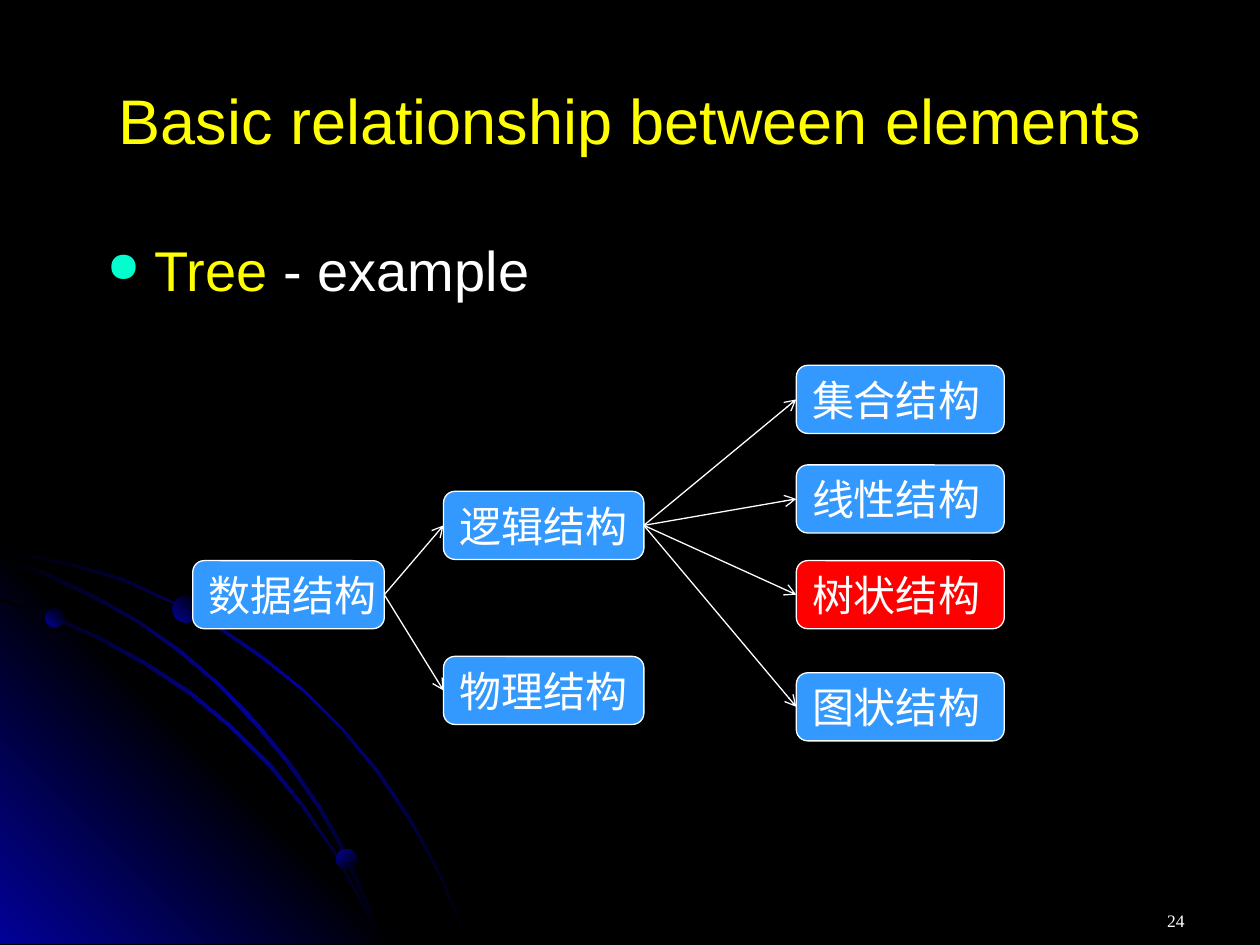
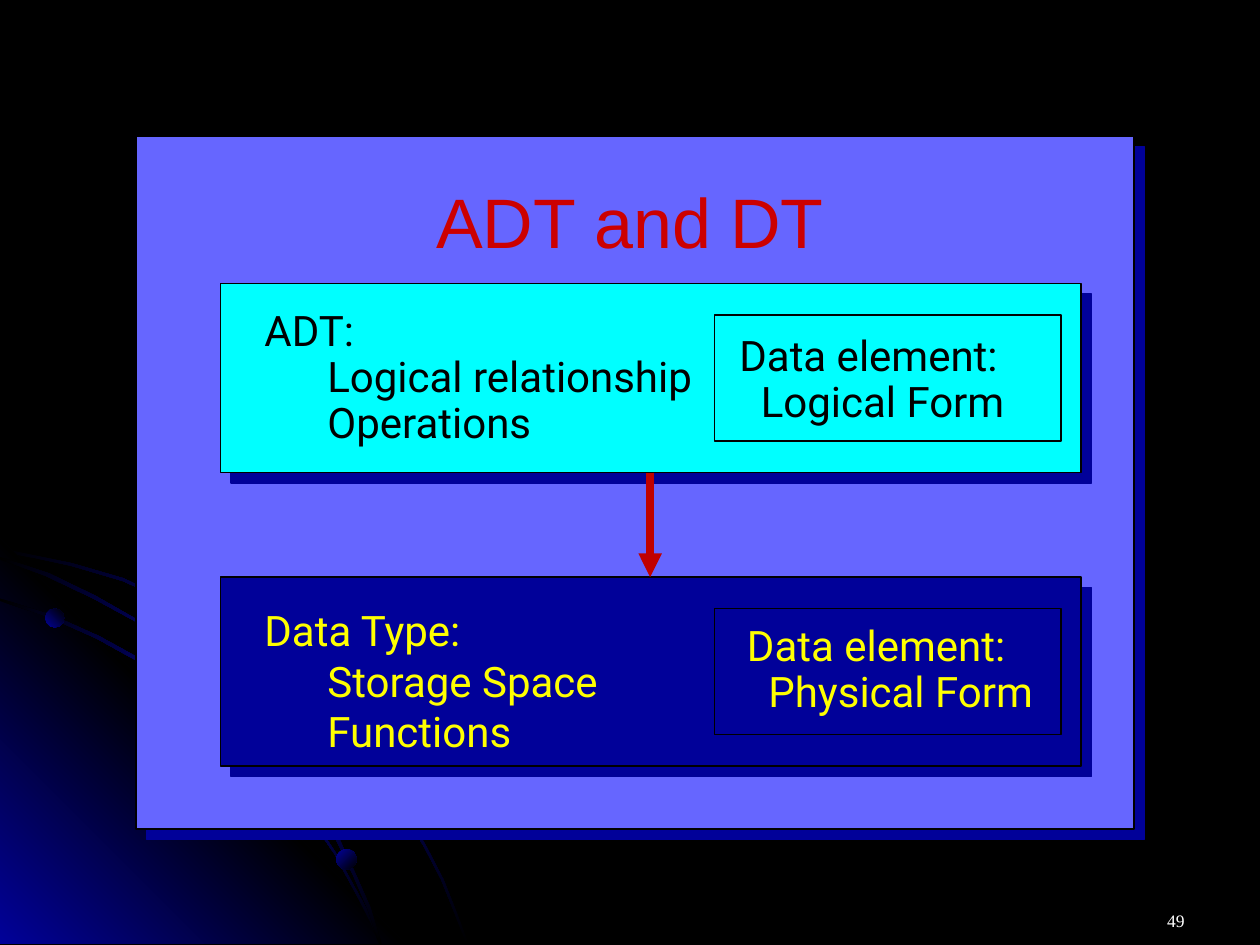
from dataclasses import dataclass
from lxml.etree import SubElement
from pptx import Presentation
from pptx.dml.color import RGBColor
from pptx.enum.shapes import MSO_CONNECTOR, MSO_SHAPE
from pptx.enum.text import MSO_ANCHOR, MSO_AUTO_SIZE, PP_ALIGN
from pptx.oxml.ns import qn
from pptx.util import Pt

PX = 9144  # EMU per px, 100 px to the inch


@dataclass(frozen=True)
class Theme:
    black: str = "000000"
    white: str = "FFFFFF"
    navy: str = "010199"
    yellow: str = "FFFF00"
    bullet: str = "00FFCC"
    node: str = "3399FF"
    highlight: str = "FF0000"
    panel: str = "6666FF"
    cyan: str = "00FFFF"
    arrow: str = "C00000"
    heading: str = "CC0000"
    sans: str = "Arial"
    label: str = "Roboto"
    serif: str = "Times New Roman"
    title_size: int = 36
    panel_title_size: int = 40
    body_size: int = 32
    text_size: int = 24
    number_size: int = 10
    hairline: float = 0.75
    thick: float = 4.5


T = Theme()

# Shared backdrop: outlines, gradient colours and angle
GLOW = (T.navy, T.black, T.navy)
STREAK = (T.black, T.navy, T.black)
ORB = (T.navy, T.black)
BACKDROP_OUTLINES = [
    (STREAK, 45, [
        (57, 447), (28, 441), (0, 435), (0, 438), (28, 443), (56, 449), (97, 461),
        (135, 478), (173, 499), (208, 523), (241, 549), (271, 579), (298, 612),
        (323, 649), (337, 673), (350, 698), (360, 723), (370, 749), (372, 749),
        (362, 723), (352, 698), (339, 673), (325, 648), (300, 611), (272, 578),
        (242, 548), (209, 521), (174, 497), (136, 477), (98, 459)]),
    (GLOW, 315, [(322, 749), (0, 749), (0, 427)]),
    (STREAK, 45, [
        (285, 714), (294, 732), (301, 749), (303, 749), (296, 730), (286, 712),
        (266, 676), (242, 640), (215, 606), (184, 576), (152, 549), (117, 526),
        (79, 505), (41, 488), (0, 475), (0, 477), (39, 490), (77, 507), (115, 528),
        (150, 551), (183, 578), (213, 608), (240, 641), (265, 677)]),
    (STREAK, 45, [
        (0, 442), (0, 444), (36, 457), (74, 475), (109, 494), (142, 518), (173, 544),
        (202, 575), (227, 605), (252, 641), (267, 667), (280, 694), (292, 722),
        (301, 749), (303, 749), (294, 720), (282, 693), (269, 665), (254, 639),
        (229, 603), (204, 573), (175, 543), (144, 516), (111, 493), (76, 473),
        (39, 455)]),
]
BACKDROP_ORBS = [(36, 483, 15, 315), (267, 674, 16, 45), (137, 473, 21, 315)]

# Tree slide
TREE_TITLE = "Basic relationship between elements"
TREE_BULLET = [("Tree ", T.yellow), ("- example", T.white)]
COLUMNS = [(153, 152), (352, 159), (632, 165)]  # left, width
NODE_HEIGHT = 54
NODES = [  # text, parent, column, top
    ("数据结构", None, 0, 445),
    ("逻辑结构", "数据结构", 1, 390),
    ("物理结构", "数据结构", 1, 521),
    ("集合结构", "逻辑结构", 2, 290),
    ("线性结构", "逻辑结构", 2, 369),
    ("树状结构", "逻辑结构", 2, 445),
    ("图状结构", "逻辑结构", 2, 534),
]
HIGHLIGHTED = "树状结构"

# Type slide
PANEL_TITLE = "ADT and DT"
PANEL = (108, 108, 792, 550)
CARD_LEFT, CARD_WIDTH, CARD_HEIGHT = 175, 683, 150
FRAME_LEFT, FRAME_WIDTH, FRAME_HEIGHT, FRAME_DROP = 567, 275, 100, 25
CARDS = [
    dict(top=225, fill=T.cyan, color=T.black,
         lines=["ADT:", "Logical relationship", "Operations"],
         lines_box=(200, 254, 381, 111), tight=True,
         element=["Data element:", "Logical Form"], element_box=(577, 274, 274, 71)),
    dict(top=458, fill=T.navy, color=T.yellow,
         lines=["Data Type:", "Storage Space", "Functions"],
         lines_box=(200, 475, 291, 130), tight=False,
         element=["Data element:", "Physical Form"], element_box=(583, 504, 275, 71)),
]
LINE_INDENT, ELEMENT_INDENT = 50, 17


def px(*lengths):
    return [round(length * PX) for length in lengths]


def rgb(color):
    return RGBColor.from_string(color)


def style(paragraph, size, color=None, face=T.sans):
    paragraph.font.size = Pt(size)
    paragraph.font.name = face
    if color:
        paragraph.font.color.rgb = rgb(color)


def add_gradient(shape, colors, angle):
    shape.shadow.inherit = False
    shape.line.fill.background()
    shape.fill.gradient()
    shape.fill.gradient_angle = 360 - angle
    stops = shape._element.spPr.find(".//" + qn("a:gsLst"))
    stops.clear()
    for i, color in enumerate(colors):
        stop = SubElement(stops, qn("a:gs"), pos=str(100000 * i // (len(colors) - 1)))
        SubElement(stop, qn("a:srgbClr"), val=color)


def add_box(slide, kind, box, fill, line, shadow=False):
    shape = slide.shapes.add_shape(kind, *px(*box))
    shape.shadow.inherit = False
    if fill:
        shape.fill.solid()
        shape.fill.fore_color.rgb = rgb(fill)
    else:
        shape.fill.background()
    shape.line.color.rgb = rgb(line)
    shape.line.width = Pt(T.hairline)
    if shadow:
        effects = shape._element.spPr.find(qn("a:effectLst"))
        outer = SubElement(effects, qn("a:outerShdw"), dist=str(Pt(8.5)),
                           dir="2700000", algn="ctr", rotWithShape="0")
        SubElement(outer, qn("a:srgbClr"), val=T.navy)
    return shape


def add_text(slide, box):
    frame = slide.shapes.add_textbox(*px(*box)).text_frame
    frame.word_wrap = True
    return frame


def add_lines(slide, box, lines, color, indent, tight):
    frame = add_text(slide, box)
    for i, line in enumerate(lines):
        paragraph = frame.paragraphs[0] if i == 0 else frame.add_paragraph()
        paragraph.text = line
        if tight:
            paragraph.line_spacing = 0.5
        if i:
            paragraph._p.get_or_add_pPr().set("marL", str(indent * PX))
            if tight:
                paragraph.space_before = Pt(T.text_size / 2)
        style(paragraph, T.text_size, color, T.label)


def add_arrow(slide, start, end, color, width, head):
    arrow = slide.shapes.add_connector(MSO_CONNECTOR.STRAIGHT, *px(*start, *end))
    arrow.line.color.rgb = rgb(color)
    arrow.line.width = Pt(width)
    SubElement(arrow.line._get_or_add_ln(), qn("a:tailEnd"), type=head)
    SubElement(arrow._element.spPr, qn("a:effectLst"))
    return arrow


def set_title(slide, text, box, size, color):
    title = slide.shapes.title
    title.left, title.top, title.width, title.height = px(*box)
    slide.shapes._spTree.append(title._element)  # in front of what is drawn so far
    frame = title.text_frame
    frame.text = text
    frame.word_wrap = True
    frame.auto_size = MSO_AUTO_SIZE.NONE
    frame.vertical_anchor = MSO_ANCHOR.MIDDLE
    frame.paragraphs[0].alignment = PP_ALIGN.CENTER
    style(frame.paragraphs[0], size, color)


def add_slide(prs, number):
    slide = prs.slides.add_slide(prs.slide_layouts[5])
    slide.background.fill.solid()
    slide.background.fill.fore_color.rgb = rgb(T.black)
    # Backdrop
    for colors, angle, points in BACKDROP_OUTLINES:
        builder = slide.shapes.build_freeform(*points[0], scale=PX)
        builder.add_line_segments(points[1:], close=True)
        add_gradient(builder.convert_to_shape(), colors, angle)
    for left, top, size, angle in BACKDROP_ORBS:
        orb = slide.shapes.add_shape(MSO_SHAPE.OVAL, *px(left, top, size, size))
        add_gradient(orb, ORB, angle)
    # Slide number
    frame = add_text(slide, (717, 711, 233, 40))
    frame.vertical_anchor = MSO_ANCHOR.MIDDLE
    frame.text = str(number)
    frame.paragraphs[0].alignment = PP_ALIGN.RIGHT
    style(frame.paragraphs[0], T.number_size, T.white, T.serif)
    return slide


def build_tree_slide(prs):
    slide = add_slide(prs, 24)
    set_title(slide, TREE_TITLE, (50, 32, 900, 125), T.title_size, T.yellow)
    # Bullet line
    paragraph = add_text(slide, (75, 182, 850, 60)).paragraphs[0]
    properties = paragraph._p.get_or_add_pPr()
    properties.set("marL", str(38 * PX))
    properties.set("indent", str(-38 * PX))
    SubElement(SubElement(properties, qn("a:buClr")), qn("a:srgbClr"), val=T.bullet)
    SubElement(properties, qn("a:buSzPct"), val="75000")
    SubElement(properties, qn("a:buChar"), char="●")
    style(paragraph, T.body_size)
    for text, color in TREE_BULLET:
        run = paragraph.add_run()
        run.text = text
        run.font.color.rgb = rgb(color)
    # Nodes
    nodes = {}
    for text, parent, column, top in NODES:
        left, width = COLUMNS[column]
        fill = T.highlight if text == HIGHLIGHTED else T.node
        node = add_box(slide, MSO_SHAPE.ROUNDED_RECTANGLE,
                       (left, top, width, NODE_HEIGHT), fill, T.white)
        frame = node.text_frame
        frame.text = text
        frame.word_wrap = False
        frame.vertical_anchor = MSO_ANCHOR.MIDDLE
        frame.paragraphs[0].alignment = PP_ALIGN.LEFT
        style(frame.paragraphs[0], T.text_size, T.white)
        nodes[text] = node
    # Branches from the right side of a parent to the left side of its child
    for text, parent, _, _ in NODES:
        if parent:
            branch = add_arrow(slide, (0, 0), (0, 0), T.white, T.hairline, "arrow")
            branch.begin_connect(nodes[parent], 3)
            branch.end_connect(nodes[text], 1)


def build_type_slide(prs):
    slide = add_slide(prs, 49)
    add_box(slide, MSO_SHAPE.RECTANGLE, PANEL, T.panel, T.black, shadow=True)
    # Cards, each with a framed data element
    for card in CARDS:
        add_box(slide, MSO_SHAPE.RECTANGLE,
                (CARD_LEFT, card["top"], CARD_WIDTH, CARD_HEIGHT),
                card["fill"], T.black, shadow=True)
        add_box(slide, MSO_SHAPE.RECTANGLE,
                (FRAME_LEFT, card["top"] + FRAME_DROP, FRAME_WIDTH, FRAME_HEIGHT),
                None, T.black)
        add_lines(slide, card["lines_box"], card["lines"], card["color"],
                  LINE_INDENT, card["tight"])
        add_lines(slide, card["element_box"], card["element"], card["color"],
                  ELEMENT_INDENT, True)
    # Arrow from the first card to the second
    middle = CARD_LEFT + CARD_WIDTH // 2
    upper, lower = CARDS
    add_arrow(slide, (middle, upper["top"] + CARD_HEIGHT), (middle, lower["top"]),
              T.arrow, T.thick, "triangle")
    set_title(slide, PANEL_TITLE, (275, 140, 450, 70), T.panel_title_size, T.heading)


def main():
    prs = Presentation()
    prs.slide_width, prs.slide_height = px(1000, 750)
    build_tree_slide(prs)
    build_type_slide(prs)
    prs.save("out.pptx")


if __name__ == "__main__":
    main()
